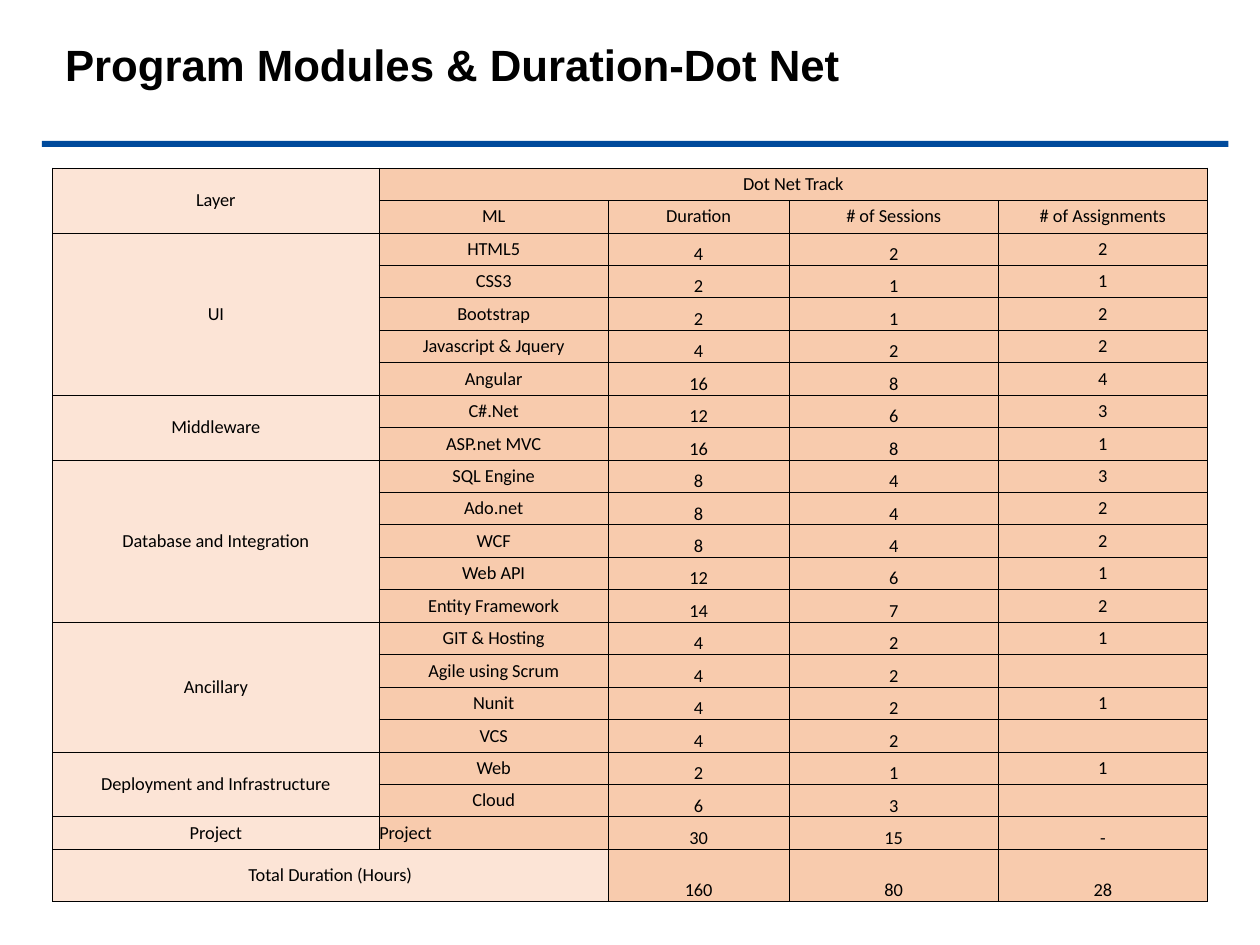
import pptx
import pptx.util
import pptx.dml.color
import pptx.enum.shapes
import pptx.enum.text
import pptx.oxml.ns
from lxml import etree

Pt = pptx.util.Pt
RGB = pptx.dml.color.RGBColor.from_string
qn = pptx.oxml.ns.qn
Align = pptx.enum.text.PP_ALIGN
Anchor = pptx.enum.text.MSO_ANCHOR


class Theme:
    ink = "000000"
    rule = "004A9C"
    layer_fill = "FCE4D6"
    track_fill = "F8CBAD"
    title_font, title_size = "Arial", 25
    table_font, table_size = "Calibri", 10.5
    border_width = 0.5


LAYERS = [
    ("UI", [("HTML5", "4", "2", "2"), ("CSS3", "2", "1", "1"),
            ("Bootstrap", "2", "1", "2"), ("Javascript & Jquery", "4", "2", "2"),
            ("Angular", "16", "8", "4")]),
    ("Middleware", [("C#.Net", "12", "6", "3"), ("ASP.net MVC", "16", "8", "1")]),
    ("Database and Integration", [
        ("SQL Engine", "8", "4", "3"), ("Ado.net", "8", "4", "2"),
        ("WCF", "8", "4", "2"), ("Web API", "12", "6", "1"),
        ("Entity Framework", "14", "7", "2")]),
    ("Ancillary", [("GIT & Hosting", "4", "2", "1"), ("Agile using Scrum", "4", "2", ""),
                   ("Nunit", "4", "2", "1"), ("VCS", "4", "2", "")]),
    ("Deployment and Infrastructure", [("Web", "2", "1", "1"), ("Cloud", "6", "3", "")]),
    ("Project", [("Project", "30", "15", "-")]),
]
COLUMN_WIDTHS = [186.75, 130.75, 103.5, 119.5, 119.5]
ROW_HEIGHT, TOTAL_HEIGHT = 18.55, 29.75


def style_font(font, name, size, bold=False):
    font.name, font.size, font.bold = name, Pt(size), bold
    font.color.rgb = RGB(Theme.ink)


def add_borders(cell):
    properties = cell._tc.get_or_add_tcPr()
    for side in ("a:lnL", "a:lnR", "a:lnT", "a:lnB"):
        line = etree.SubElement(properties, qn(side), w=str(Pt(Theme.border_width)))
        fill = etree.SubElement(line, qn("a:solidFill"))
        etree.SubElement(fill, qn("a:srgbClr"), val=Theme.ink)


deck = pptx.Presentation()
deck.slide_width, deck.slide_height = Pt(720), Pt(540)
page = deck.slides.add_slide(deck.slide_layouts[5])

# Title and the rule below it
title = page.shapes.title
title.left, title.top, title.width, title.height = Pt(30), Pt(18), Pt(498), Pt(37.5)
title.text_frame.text = "Program Modules & Duration-Dot Net"
title.text_frame.vertical_anchor = Anchor.TOP
title.text_frame.auto_size = pptx.enum.text.MSO_AUTO_SIZE.NONE
para = title.text_frame.paragraphs[0]
para.alignment = Align.LEFT
style_font(para.runs[0].font, Theme.title_font, Theme.title_size, True)

rule = page.shapes.add_shape(pptx.enum.shapes.MSO_SHAPE.RECTANGLE,
                             Pt(24), Pt(80.5), Pt(678), Pt(3.5))
rule.shadow.inherit = False
rule.fill.solid()
rule.fill.fore_color.rgb = RGB(Theme.rule)
rule.line.fill.background()

# Rows of text, and the cells to merge
rows = [["Layer", "Dot Net Track", "", "", ""],
        ["", "ML", "Duration", "# of Sessions", "# of Assignments"]]
merges = [(0, 0, 1, 0), (0, 1, 0, 4)]
for layer, modules in LAYERS:
    first = len(rows)
    for index, module in enumerate(modules):
        rows.append(["" if index else layer, *module])
    if len(modules) > 1:
        merges.append((first, 0, len(rows) - 1, 0))
rows.append(["Total Duration (Hours)", "", "160", "80", "28"])
total_row = len(rows) - 1
project_row = total_row - 1
merges.append((total_row, 0, total_row, 1))

table_height = ROW_HEIGHT * total_row + TOTAL_HEIGHT
table = page.shapes.add_table(len(rows), len(COLUMN_WIDTHS), Pt(30), Pt(96),
                              Pt(sum(COLUMN_WIDTHS)), Pt(table_height)).table
table.first_row = table.horz_banding = False
for column, width in zip(table.columns, COLUMN_WIDTHS):
    column.width = Pt(width)
for row in table.rows:
    row.height = Pt(ROW_HEIGHT)
table.rows[total_row].height = Pt(TOTAL_HEIGHT)

for r, texts in enumerate(rows):
    for c, text in enumerate(texts):
        cell = table.cell(r, c)
        cell.margin_left = cell.margin_right = cell.margin_top = cell.margin_bottom = 0
        low = r > 1 and (c in (2, 3) or (c == 4 and r >= project_row))
        cell.vertical_anchor = Anchor.BOTTOM if low else Anchor.MIDDLE
        add_borders(cell)
        cell.fill.solid()
        cell.fill.fore_color.rgb = RGB(Theme.track_fill if c else Theme.layer_fill)
        para = cell.text_frame.paragraphs[0]
        para.alignment = Align.LEFT if (r, c) == (project_row, 1) else Align.CENTER
        if text:
            para.text = text
            style_font(para.runs[0].font, Theme.table_font, Theme.table_size)
        else:  # keeps empty cells from stretching their row
            etree.SubElement(para._p, qn("a:endParaRPr"), sz=str(int(Theme.table_size * 100)))

for top, left, bottom, right in merges:
    table.cell(top, left).merge(table.cell(bottom, right))

deck.save("out.pptx")
